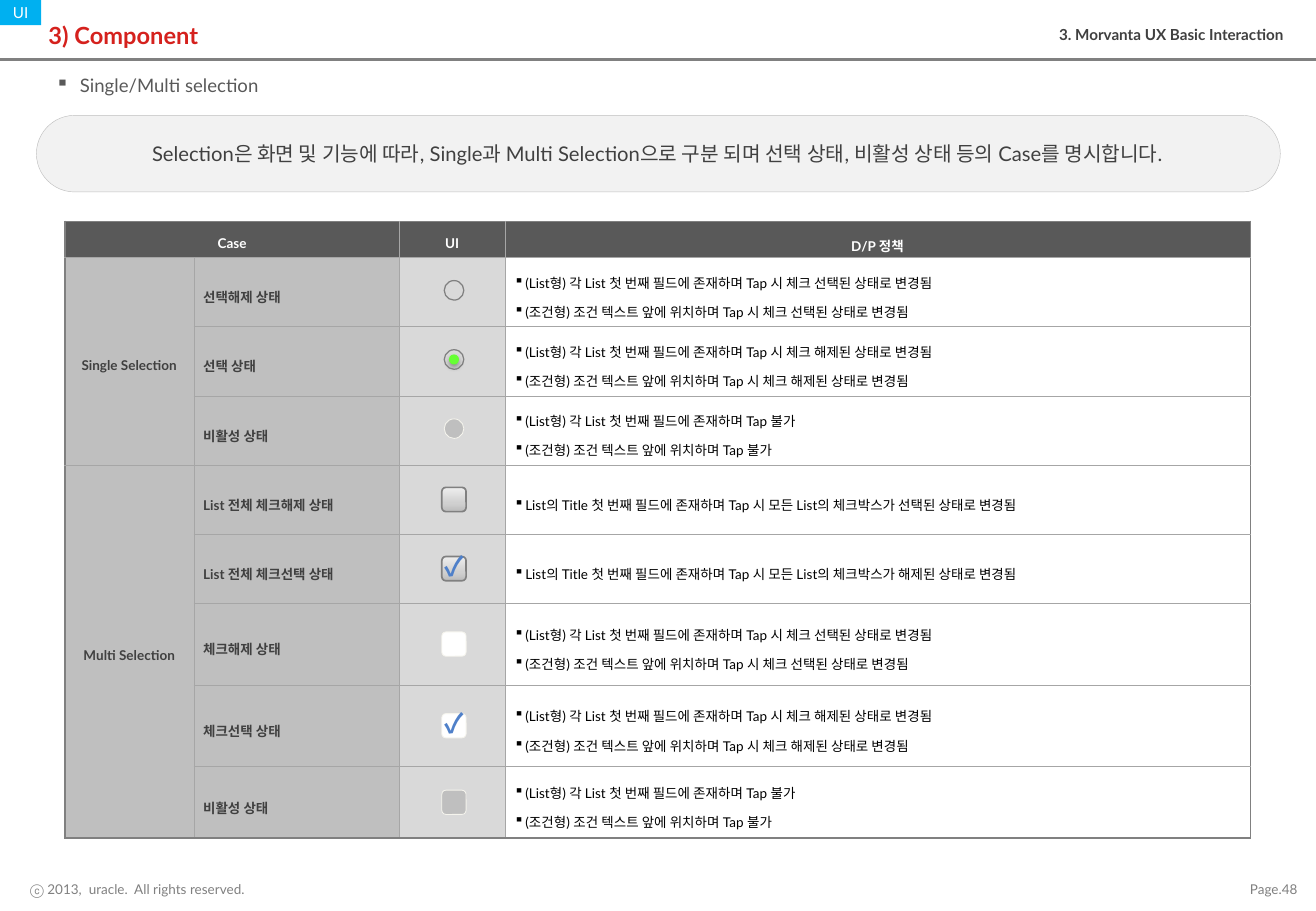
from dataclasses import dataclass
from itertools import accumulate
from typing import NamedTuple

from lxml.etree import SubElement
from pptx import Presentation
from pptx.dml.color import RGBColor
from pptx.enum.shapes import MSO_SHAPE
from pptx.enum.text import MSO_ANCHOR, PP_ALIGN
from pptx.oxml import parse_xml
from pptx.oxml.ns import nsdecls, qn
from pptx.util import Pt


class Box(NamedTuple):
    x: float
    y: float
    w: float
    h: float

    def lengths(self):
        return [Pt(v) for v in self]

    def centred(self, size, dx=0, dy=0):
        return Box(self.x + (self.w - size) / 2 + dx, self.y + (self.h - size) / 2 + dy, size, size)


@dataclass(frozen=True)
class Theme:
    font: str = "Lato"
    cjk: str = "Noto Sans CJK KR"
    white: str = "FFFFFF"
    black: str = "000000"
    ink: str = "404040"
    dark: str = "595959"
    gray: str = "808080"
    rule: str = "A6A6A6"
    mid: str = "BFBFBF"
    light: str = "D9D9D9"
    pale: str = "F2F2F2"
    ivory: str = "F5F4ED"
    red: str = "D5211D"
    cyan: str = "00B0F0"
    green: str = "66FF33"
    blue: str = "4F80C9"
    small: float = 8
    label: float = 9
    lead: float = 11
    message: float = 12
    title: float = 14
    check: float = 16


T = Theme()
LEFT, CENTER, RIGHT = PP_ALIGN.LEFT, PP_ALIGN.CENTER, PP_ALIGN.RIGHT


def write(tf, text, size=T.small, color=T.ink, bold=False, align=LEFT,
          spacing=None, bullet=0, font=T.font):
    for i, line in enumerate(text.split("\n")):
        p = tf.add_paragraph() if i else tf.paragraphs[0]
        p.alignment = align
        if bullet:
            pPr = p._p.get_or_add_pPr()
            pPr.set("marL", str(Pt(bullet)))
            pPr.set("indent", str(-Pt(bullet)))
            SubElement(pPr, qn("a:buChar")).set("char", "▪")
        if spacing:
            p.line_spacing = spacing
        r = p.add_run()
        r.text = line
        r.font.name = font
        r.font.size = Pt(size)
        r.font.bold = bold
        r.font.color.rgb = RGBColor.from_string(color)
        SubElement(r._r.get_or_add_rPr(), qn("a:ea")).set("typeface", T.cjk)


def text_box(s, box, text, anchor=MSO_ANCHOR.MIDDLE, **fmt):
    tf = s.shapes.add_textbox(*box.lengths()).text_frame
    tf.word_wrap = True
    tf.vertical_anchor = anchor
    write(tf, text, **fmt)


def shape(s, kind, box, fill=None, line=None, width=0.5, radius=None):
    sp = s.shapes.add_shape(kind, *box.lengths())
    sp.shadow.inherit = False
    if radius is not None:
        sp.adjustments[0] = radius
    for part, color in ((sp.fill, fill), (sp.line.fill, line)):
        if color:
            part.solid()
            part.fore_color.rgb = RGBColor.from_string(color)
        else:
            part.background()
    if line:
        sp.line.width = Pt(width)
    return sp


def label(sp, text, **fmt):
    tf = sp.text_frame
    tf.margin_left = tf.margin_right = tf.margin_top = tf.margin_bottom = 0
    tf.word_wrap = False
    tf.vertical_anchor = MSO_ANCHOR.MIDDLE
    write(tf, text, align=CENTER, **fmt)


def header(s, box):
    shape(s, MSO_SHAPE.RECTANGLE, Box(box.x, box.y + 34.5, box.w, 1.6), T.gray)
    tag = shape(s, MSO_SHAPE.RECTANGLE, Box(box.x, box.y, 24.5, 15), T.cyan)
    label(tag, "UI", size=T.label, color=T.white)
    text_box(s, Box(box.x + 21.6, box.y + 5.8, 400, 29.5), "3) Component",
             size=T.title, color=T.red, bold=True)
    text_box(s, Box(box.x + box.w - 284.4, box.y + 11.5, 272, 20), "3. Morvanta UX Basic Interaction",
             MSO_ANCHOR.TOP, size=T.label, bold=True, align=RIGHT)


def intro(s, box):
    text_box(s, Box(box.x + 4.3, box.y, 676, 20), "Single/Multi selection",
             size=T.lead, color=T.dark, bullet=14.4)
    banner = Box(box.x, box.y + 28.1, box.w, 45.4)
    shape(s, MSO_SHAPE.ROUNDED_RECTANGLE, banner, T.pale, T.mid, 0.25, 0.5)
    text_box(s, Box(banner.x + 15.2, banner.y + 5.7, 705.6, 34),
             "Selection은 화면 및 기능에 따라, Single과 Multi Selection으로 구분 되며 "
             "선택 상태, 비활성 상태 등의 Case를 명시합니다.",
             size=T.message, align=CENTER)


def footer(s, box):
    fmt = dict(color=T.gray, align=RIGHT)
    text_box(s, Box(box.x + 4.3, box.y, 148, box.h), "ⓒ 2013,  uracle.  All rights reserved.", **fmt)
    text_box(s, Box(box.x + box.w - 67, box.y, 63.2, box.h), "Page.48", **fmt)


def radio(s, cell, fill=None, line=T.gray, width=0.75, dot=False):
    box = cell.centred(11.6, 1, -1)
    if dot:
        sp = shape(s, MSO_SHAPE.OVAL, box.centred(6), T.green)
        effects = sp._element.spPr.find(qn("a:effectLst"))
        effects.append(parse_xml(
            f'<a:outerShdw {nsdecls("a")} blurRad="{Pt(3.1)}" dist="{Pt(1.8)}" dir="5400000" rotWithShape="0">'
            f'<a:srgbClr val="{T.black}"><a:alpha val="35000"/></a:srgbClr></a:outerShdw>'))
    shape(s, MSO_SHAPE.OVAL, box, fill, line, width)


def checkbox(s, cell, fill=T.white, line=T.ivory, width=0.5, glossy=False, checked=False):
    sp = shape(s, MSO_SHAPE.ROUNDED_RECTANGLE, cell.centred(14.4, 1), fill, line, width, 0.17)
    if glossy:
        stops = "".join(f'<a:gs pos="{pos}000"><a:srgbClr val="{color}"/></a:gs>'
                        for pos, color in ((0, "BCBCBC"), (35, "D0D0D0"), (100, "EDEDED")))
        solid = sp._element.spPr.find(qn("a:solidFill"))
        solid.getparent().replace(solid, parse_xml(
            f'<a:gradFill {nsdecls("a")}><a:gsLst>{stops}</a:gsLst><a:lin ang="16200000"/></a:gradFill>'))
    if checked:
        label(sp, "✓", size=T.check, color=T.blue, bold=True, spacing=0.8, font=T.cjk)


def policy(action):
    return (f"(List형) 각 List 첫 번째 필드에 존재하며 Tap {action}\n"
            f"(조건형) 조건 텍스트 앞에 위치하며 Tap {action}")


def list_policy(state):
    return f"List의 Title 첫 번째 필드에 존재하며 Tap 시 모든 List의 체크박스가 {state}된 상태로 변경됨"


SELECT, RELEASE, BLOCKED = "시 체크 선택된 상태로 변경됨", "시 체크 해제된 상태로 변경됨", "불가"
GLOSSY = dict(line=T.gray, width=1, glossy=True)
DISABLED = dict(fill=T.mid, line=T.ivory, width=0.5)
CASES = [
    ("Single Selection", "선택해제 상태", policy(SELECT), radio, {}),
    ("", "선택 상태", policy(RELEASE), radio, dict(dot=True)),
    ("", "비활성 상태", policy(BLOCKED), radio, DISABLED),
    ("Multi Selection", "List 전체 체크해제 상태", list_policy("선택"), checkbox, GLOSSY),
    ("", "List 전체 체크선택 상태", list_policy("해제"), checkbox, dict(GLOSSY, checked=True)),
    ("", "체크해제 상태", policy(SELECT), checkbox, {}),
    ("", "체크선택 상태", policy(RELEASE), checkbox, dict(checked=True)),
    ("", "비활성 상태", policy(BLOCKED), checkbox, DISABLED),
]
COLS = [76.5, 122, 62.4, 441.8]
ROWS = [21.4] + [41] * 5 + [48.4] * 2 + [42.4]


def style_cell(cell, row, col, fill):
    bottom = row + cell.span_height == len(ROWS)
    right = col + cell.span_width == len(COLS)
    tcPr = cell._tc.get_or_add_tcPr()
    for side, outer in (("L", col == 0), ("R", right), ("T", row == 0), ("B", bottom)):
        if outer or not cell.is_spanned:
            color, width = (T.gray, 1) if outer else (T.rule, 0.25)
            tcPr.append(parse_xml(f'<a:ln{side} {nsdecls("a")} w="{Pt(width)}"><a:solidFill>'
                                  f'<a:srgbClr val="{color}"/></a:solidFill></a:ln{side}>'))
    cell.fill.solid()
    cell.fill.fore_color.rgb = RGBColor.from_string(fill)
    cell.vertical_anchor = MSO_ANCHOR.MIDDLE
    cell.margin_left = cell.margin_right = Pt(5.5)
    cell.margin_top = cell.margin_bottom = Pt(3.6 if row and col < 2 else 2.8)


def case_table(s, box):
    table = s.shapes.add_table(len(ROWS), len(COLS), *box.lengths()).table
    table.first_row = table.horz_banding = False
    for col, width in zip(table.columns, COLS):
        col.width = Pt(width)
    for row, height in zip(table.rows, ROWS):
        row.height = Pt(height)
    for first, last in (((0, 0), (0, 1)), ((1, 0), (3, 0)), ((4, 0), (8, 0))):
        table.cell(*first).merge(table.cell(*last))
    texts = [("Case", "", "UI", "D/P 정책")] + [(kind, case, "", rule) for kind, case, rule, *_ in CASES]
    formats = [dict(bold=True, align=CENTER), dict(bold=True), {}, dict(color=T.black, bullet=6.6)]
    fills = [T.mid, T.mid, T.light, T.white]
    for row, line in enumerate(texts):
        for col, text in enumerate(line):
            cell = table.cell(row, col)
            style_cell(cell, row, col, fills[col] if row else T.dark)
            if text:
                fmt = formats[col] if row else dict(color=T.white, bold=True, align=CENTER)
                write(cell.text_frame, text, spacing=1.5, **fmt)
    tops = list(accumulate(ROWS, initial=box.y))
    for (*_, icon, options), top, height in zip(CASES, tops[1:], ROWS[1:]):
        icon(s, Box(box.x + sum(COLS[:2]), top, COLS[2], height), **options)


def main():
    prs = Presentation()
    prs.slide_width, prs.slide_height = Pt(780), Pt(540)
    s = prs.slides.add_slide(prs.slide_layouts[6])
    header(s, Box(0, 0, 780, 36))
    intro(s, Box(21.6, 40.3, 737.3, 73.5))
    case_table(s, Box(38.4, 131.2, sum(COLS), sum(ROWS)))
    footer(s, Box(0, 519.1, 780, 16))
    prs.save("out.pptx")


if __name__ == "__main__":
    main()
